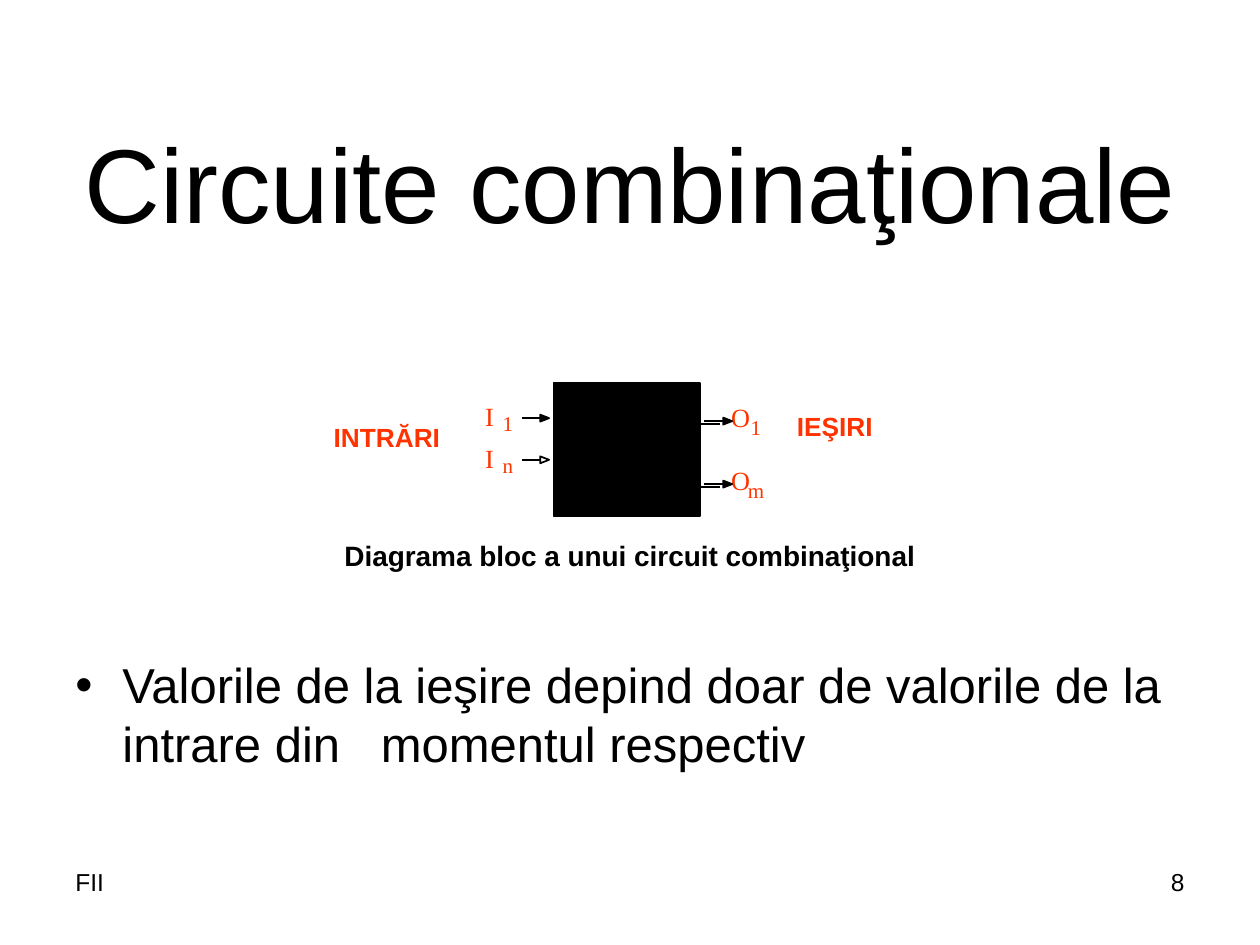
from dataclasses import dataclass
from lxml.etree import SubElement
from pptx import Presentation
from pptx.dml.color import RGBColor
from pptx.enum.shapes import MSO_CONNECTOR, MSO_SHAPE
from pptx.enum.text import MSO_ANCHOR, PP_ALIGN
from pptx.oxml.ns import qn
from pptx.util import Cm, Pt


@dataclass(frozen=True)
class Theme:
    ink: RGBColor = RGBColor(0x00, 0x00, 0x00)
    paper: RGBColor = RGBColor(0xFF, 0xFF, 0xFF)
    signal: RGBColor = RGBColor(0xFF, 0x33, 0x00)
    sans: str = "Arial"
    serif: str = "Times New Roman"
    title: int = 60
    body: int = 28
    caption: int = 16
    label: int = 15
    footer: int = 14
    index: int = 12
    line: int = 1


THEME = Theme()

# Content; lengths in centimetres
TITLE = "Circuite combinaţionale"
CAPTION = "Diagrama bloc a unui circuit combinaţional"
BULLET = ("Valorile de la ieşire depind doar de valorile de la intrare din",
          "momentul respectiv")
FOOTERS = [("FII", 1.27, PP_ALIGN.LEFT), ("8", 18.21, PP_ALIGN.RIGHT)]
BLOCK = (11.16, 7.72, 2.95, 2.69)
# letter, index, arrow height, arrowhead fill
INPUTS = [("I", "1", 8.43, THEME.ink), ("I", "n", 9.27, THEME.paper)]
OUTPUTS = [("O", "1", 8.49, THEME.ink), ("O", "m", 9.76, THEME.ink)]
# Each side: arrow ends, letter centre and index centre (x, shift from arrow)
INPUT_SIDE = {"arrow": (10.52, 11.07), "letter": (9.87, -0.04), "index": (10.24, 0.1)}
OUTPUT_SIDE = {"arrow": (14.2, 14.76), "letter": (14.93, -0.09), "index": (15.24, 0.13)}
SIDE_NAMES = [("INTRĂRI", 7.8, 8.8), ("IEŞIRI", 16.83, 8.58)]
STUB_LENGTH, STUB_DROP = 0.4, 0.05
HEAD_LENGTH, HEAD_HALF = 0.18, 0.07
MARGIN, CONTENT_WIDTH = 1.27, 22.86
BULLET_INDENT = 0.95


def add_run(paragraph, text, size, color=THEME.ink, face=THEME.sans, bold=False):
    run = paragraph.add_run()
    run.text = text
    run.font.size = Pt(size)
    run.font.name = face
    run.font.bold = bold
    run.font.color.rgb = color
    return run


def add_frame(slide, left, top, width, height, align, wrap=True, anchor=MSO_ANCHOR.TOP):
    box = slide.shapes.add_textbox(Cm(left), Cm(top), Cm(width), Cm(height))
    frame = box.text_frame
    frame.word_wrap = wrap
    frame.vertical_anchor = anchor
    frame.paragraphs[0].alignment = align
    return frame


def add_label(slide, text, center_x, center_y, size, face, bold=False):
    width, height = (3.2, 0.89) if len(text) > 1 else (1, 0.8)
    frame = add_frame(slide, center_x - width / 2, center_y - height / 2, width, height,
                      PP_ALIGN.CENTER, wrap=False, anchor=MSO_ANCHOR.MIDDLE)
    add_run(frame.paragraphs[0], text, size, THEME.signal, face, bold)


def add_wire(slide, start, end, y):
    wire = slide.shapes.add_connector(MSO_CONNECTOR.STRAIGHT, Cm(start), Cm(y), Cm(end), Cm(y))
    wire.line.color.rgb = THEME.ink
    wire.line.width = Pt(THEME.line)
    SubElement(wire._element.spPr, qn("a:effectLst"))


def paint(shape, fill):
    shape.shadow.inherit = False
    shape.fill.solid()
    shape.fill.fore_color.rgb = fill
    shape.line.color.rgb = THEME.ink
    shape.line.width = Pt(THEME.line)


def add_terminal(slide, side, letter, index, y, head_fill):
    for text, part, size in ((letter, "letter", THEME.label), (index, "index", THEME.index)):
        x, shift = side[part]
        add_label(slide, text, x, y + shift, size, THEME.serif)
    start, tip = side["arrow"]
    add_wire(slide, start, tip, y)
    back = Cm(tip - HEAD_LENGTH)
    outline = slide.shapes.build_freeform(Cm(tip), Cm(y))
    outline.add_line_segments([(back, Cm(y + HEAD_HALF)), (back, Cm(y - HEAD_HALF))], close=True)
    paint(outline.convert_to_shape(), head_fill)


def main():
    deck = Presentation()
    deck.slide_width, deck.slide_height = Cm(25.4), Cm(19.05)
    slide = deck.slides.add_slide(deck.slide_layouts[6])

    # Title
    title = add_frame(slide, MARGIN, 0.78, CONTENT_WIDTH, 5.77, PP_ALIGN.CENTER,
                      anchor=MSO_ANCHOR.MIDDLE)
    add_run(title.paragraphs[0], TITLE, THEME.title)

    # Caption and bullet
    body = add_frame(slide, MARGIN, 10.74, CONTENT_WIDTH, 6.3, PP_ALIGN.CENTER)
    add_run(body.paragraphs[0], CAPTION, THEME.caption, bold=True)
    statement = body.add_paragraph()
    statement.alignment = PP_ALIGN.LEFT
    statement.space_before = Pt(47)
    properties = statement._p.get_or_add_pPr()
    properties.set("marL", str(Cm(BULLET_INDENT)))
    properties.set("indent", str(-Cm(BULLET_INDENT)))
    SubElement(properties, qn("a:buFont"), typeface=THEME.sans)
    SubElement(properties, qn("a:buChar"), char="•")
    before, after = BULLET
    add_run(statement, before, THEME.body)
    gap = add_run(statement, " ", THEME.body)
    gap._r.get_or_add_rPr().set("spc", "1560")  # one space, widened to three
    add_run(statement, after, THEME.body)

    # Circuit block
    block = slide.shapes.add_shape(MSO_SHAPE.RECTANGLE, *map(Cm, BLOCK))
    paint(block, THEME.ink)

    # Inputs and outputs
    block_right = BLOCK[0] + BLOCK[2]
    for terminal in INPUTS:
        add_terminal(slide, INPUT_SIDE, *terminal)
    for terminal in OUTPUTS:
        add_wire(slide, block_right, block_right + STUB_LENGTH, terminal[2] + STUB_DROP)
        add_terminal(slide, OUTPUT_SIDE, *terminal)
    for name, x, y in SIDE_NAMES:
        add_label(slide, name, x, y, THEME.label, THEME.sans, bold=True)

    # Footer
    for text, left, align in FOOTERS:
        footer = add_frame(slide, left, 17.35, 5.92, 1.32, align)
        add_run(footer.paragraphs[0], text, THEME.footer)

    deck.save("out.pptx")


if __name__ == "__main__":
    main()
